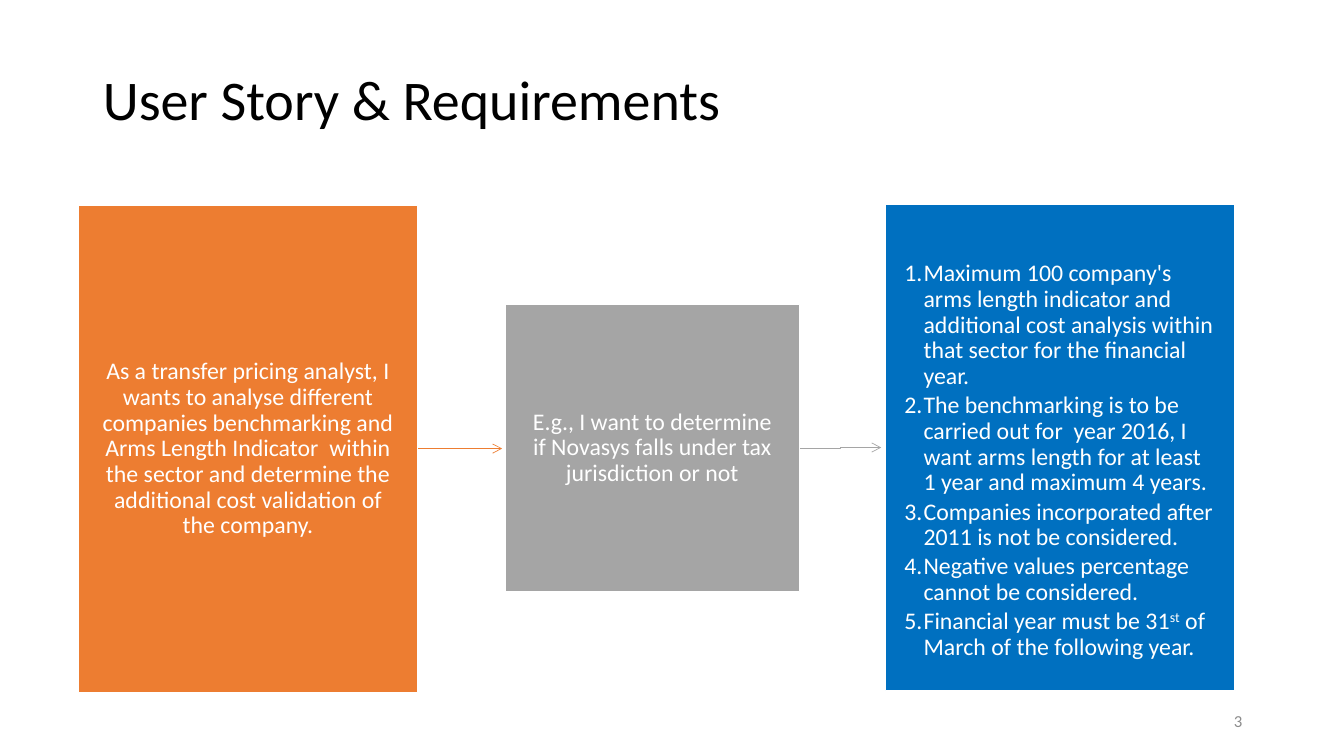
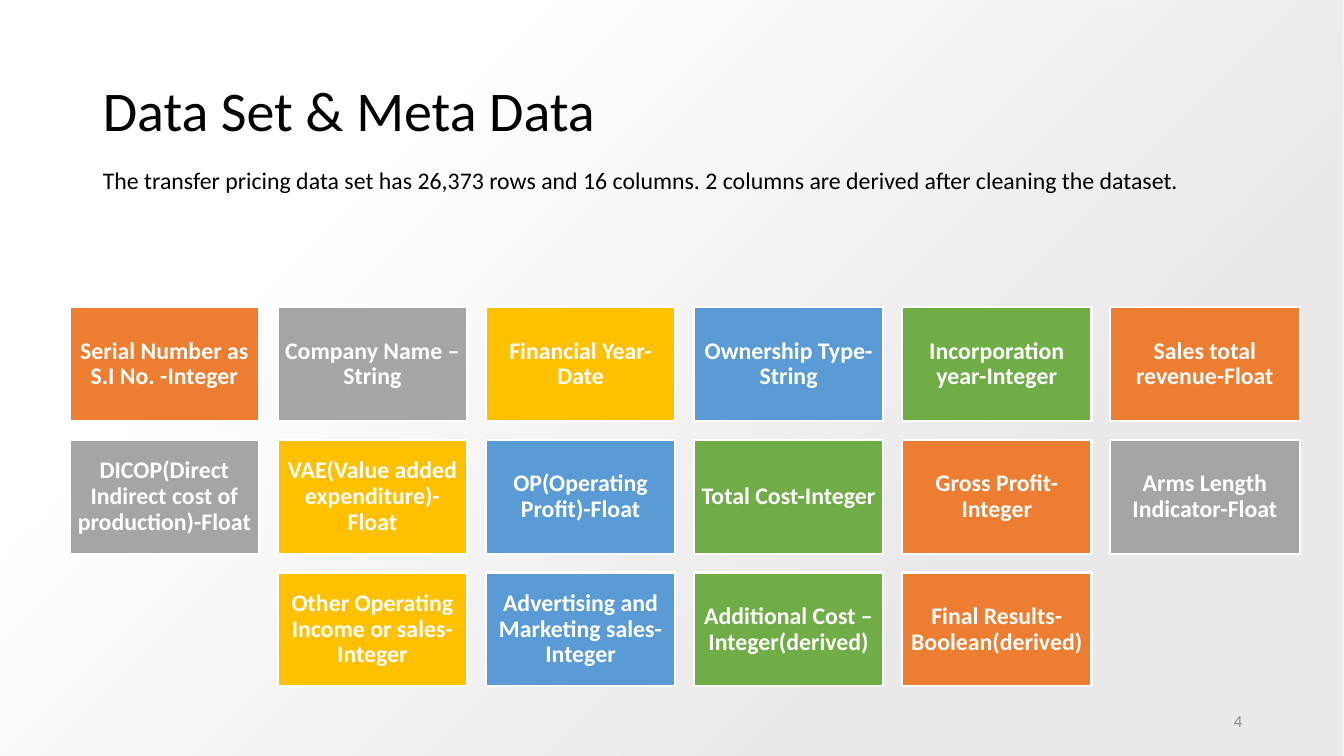
from dataclasses import dataclass
from typing import NamedTuple

from lxml.etree import SubElement
from pptx import Presentation
from pptx.dml.color import RGBColor
from pptx.enum.shapes import MSO_CONNECTOR, MSO_SHAPE
from pptx.enum.text import MSO_ANCHOR, MSO_AUTO_SIZE, PP_ALIGN
from pptx.oxml import parse_xml
from pptx.oxml.ns import nsdecls, qn
from pptx.util import Inches, Pt


@dataclass(frozen=True)
class Theme:
    font: str = "Calibri"
    black: str = "000000"
    white: str = "FFFFFF"
    muted: str = "8C8C8C"
    shade: str = "E7E6E6"
    orange: str = "ED7D31"
    gray: str = "A5A5A5"
    yellow: str = "FFC000"
    blue: str = "5B9BD5"
    green: str = "70AD47"
    deep_blue: str = "0070C0"
    title_size: float = 40
    body_size: float = 17
    number_size: float = 12


class Box(NamedTuple):
    left: float
    top: float
    width: float
    height: float


class Panel(NamedTuple):
    box: Box
    color: str
    text: str


class Arrow(NamedTuple):
    kind: MSO_CONNECTOR
    start: tuple[float, float]
    end: tuple[float, float]
    color: str


THEME = Theme()
LINE_SPACING = 0.9

STORY_TITLE = Box(0.92, 0.59, 7.08, 0.77)
DATA_TITLE = Box(0.92, 0.4, 11.5, 1.45)
SUMMARY_BOX = Box(0.92, 1.59, 11.65, 0.67)
NUMBER_BOX = Box(9.42, 6.95, 3, 0.4)
REQUIREMENTS_BOX = Box(8.78, 2.03, 3.47, 4.82)
LIST_INDENT = 0.19

PANELS = (
    Panel(
        Box(0.78, 2.04, 3.36, 4.83),
        THEME.orange,
        "As a transfer pricing analyst, I wants to analyse different companies "
        "benchmarking and Arms Length Indicator  within the sector and determine "
        "the additional cost validation of the company.",
    ),
    Panel(
        Box(5.01, 3.02, 2.92, 2.85),
        THEME.gray,
        "E.g., I want to determine if Novasys falls under tax jurisdiction or not",
    ),
)
ARROWS = (
    Arrow(MSO_CONNECTOR.STRAIGHT, (4.13, 4.45), (4.98, 4.45), THEME.orange),
    Arrow(MSO_CONNECTOR.ELBOW, (7.93, 4.45), (8.74, 4.44), THEME.gray),
)
REQUIREMENTS = (
    "Maximum 100 company's arms length indicator and additional cost analysis "
    "within that sector for the financial year.",
    "The benchmarking is to be carried out for  year 2016, I want arms length "
    "for at least 1 year and maximum 4 years.",
    "Companies incorporated after 2011 is not be considered.",
    "Negative values percentage cannot be considered.",
    "Financial year must be 31^st^ of March of the following year.",
)

SUMMARY = (
    "The transfer pricing data set has 26,373 rows and 16 columns. "
    "2 columns are derived after cleaning the dataset."
)
COLUMNS = (
    "Serial Number as S.I No. -Integer",
    "Company Name –String",
    "Financial Year-Date",
    "Ownership Type-String",
    "Incorporation year-Integer",
    "Sales total revenue-Float",
    "DICOP(Direct Indirect cost of production)-Float",
    "VAE(Value added expenditure)-Float",
    "OP(Operating Profit)-Float",
    "Total Cost-Integer",
    "Gross Profit-Integer",
    "Arms Length Indicator-Float",
    "Other Operating Income or sales-Integer",
    "Advertising and Marketing sales-Integer",
    "Additional Cost –Integer(derived)",
    "Final Results-Boolean(derived)",
)
TILE_COLORS = (THEME.orange, THEME.gray, THEME.yellow, THEME.blue, THEME.green)
FIRST_TILE = Box(0.69, 3.05, 1.88, 1.13)
TILES_PER_ROW = 6
COLUMN_PITCH = (11.01 - FIRST_TILE.left) / 5
ROW_PITCH = (5.68 - FIRST_TILE.top) / 2


def rgb(color: str) -> RGBColor:
    return RGBColor.from_string(color)


def place(sp, box: Box) -> None:
    sp.left, sp.top, sp.width, sp.height = map(Inches, box)


def paint(sp, color: str, line_width: float) -> None:
    sp.fill.solid()
    sp.fill.fore_color.rgb = rgb(color)
    sp.line.color.rgb = rgb(THEME.white)
    sp.line.width = Pt(line_width)


def set_insets(tf, side: float, top: float, bottom: float) -> None:
    tf.margin_left = tf.margin_right = Inches(side)
    tf.margin_top, tf.margin_bottom = Inches(top), Inches(bottom)


def format_text(tf, size: float, color: str, align: PP_ALIGN = PP_ALIGN.LEFT,
                anchor: MSO_ANCHOR = MSO_ANCHOR.TOP, bold: bool = False,
                spacing: float = 1.0, after: float = 0) -> None:
    tf.word_wrap = True
    tf.auto_size = MSO_AUTO_SIZE.NONE
    tf.vertical_anchor = anchor
    for p in tf.paragraphs:
        p.alignment = align
        p.line_spacing = spacing
        p.space_before, p.space_after = Pt(0), Pt(after)
        for r in p.runs:
            r.font.name, r.font.size, r.font.bold = THEME.font, Pt(size), bold
            r.font.color.rgb = rgb(color)


def set_bullet(p, tag: str, indent: float = 0, **attrs: str) -> None:
    pPr = p._p.get_or_add_pPr()
    pPr.set("marL", str(Inches(indent)))
    pPr.set("indent", str(-Inches(indent)))
    SubElement(pPr, qn(tag), **attrs)


def add_slide(prs, title: str, title_box: Box, spacing: float):
    s = prs.slides.add_slide(prs.slide_layouts[1])
    place(s.shapes.title, title_box)
    tf = s.shapes.title.text_frame
    tf.text = title
    format_text(tf, THEME.title_size, THEME.black,
                anchor=MSO_ANCHOR.MIDDLE, spacing=spacing)
    add_slide_number(s, len(prs.slides))
    return s


def add_slide_number(s, offset: int) -> None:
    tf = s.shapes.add_textbox(*map(Inches, NUMBER_BOX)).text_frame
    number = offset + 2
    tf.text = str(number)
    format_text(tf, THEME.number_size, THEME.muted,
                PP_ALIGN.RIGHT, MSO_ANCHOR.MIDDLE)


def add_block(s, panel: Panel, line_width: float, inset: float, bold: bool) -> None:
    sp = s.shapes.add_shape(MSO_SHAPE.RECTANGLE, *map(Inches, panel.box))
    sp.shadow.inherit = False
    paint(sp, panel.color, line_width)
    tf = sp.text_frame
    tf.text = panel.text
    set_insets(tf, inset, inset, inset)
    format_text(tf, THEME.body_size, THEME.white, PP_ALIGN.CENTER,
                MSO_ANCHOR.MIDDLE, bold, LINE_SPACING)


def add_arrow(s, arrow: Arrow) -> None:
    cx = s.shapes.add_connector(arrow.kind, *map(Inches, arrow.start + arrow.end))
    cx.line.color.rgb = rgb(arrow.color)
    cx.line.width = Pt(0.5)
    SubElement(cx.line._get_or_add_ln(), qn("a:tailEnd"), type="arrow")
    SubElement(cx._element.spPr, qn("a:effectLst"))


def add_requirements(s) -> None:
    sp = s.placeholders[1]
    place(sp, REQUIREMENTS_BOX)
    paint(sp, THEME.deep_blue, 1)
    tf = sp.text_frame
    tf.text = "\n".join(REQUIREMENTS)
    for p, item in zip(tf.paragraphs, REQUIREMENTS):
        p.text = ""
        for i, part in enumerate(item.split("^")):
            r = p.add_run()
            r.text = part
            if i % 2:
                r._r.get_or_add_rPr().set("baseline", "30000")
        set_bullet(p, "a:buAutoNum", LIST_INDENT, type="arabicPeriod")
    set_insets(tf, 0.19, 0.56, 0.2)
    format_text(tf, THEME.body_size, THEME.white, spacing=LINE_SPACING, after=2.5)


def add_summary(s) -> None:
    sp = s.placeholders[1]
    place(sp, SUMMARY_BOX)
    tf = sp.text_frame
    tf.text = SUMMARY
    set_bullet(tf.paragraphs[0], "a:buNone")
    format_text(tf, THEME.body_size, THEME.black)


def add_backdrop(s, prs) -> None:
    sp = s.shapes.add_shape(MSO_SHAPE.RECTANGLE, 0, 0,
                            prs.slide_width, prs.slide_height)
    sp.shadow.inherit = False
    sp.line.fill.background()
    gradient = parse_xml(
        f'<a:gradFill {nsdecls("a")} rotWithShape="1"><a:gsLst>'
        f'<a:gs pos="28000"><a:srgbClr val="{THEME.shade}">'
        '<a:alpha val="84000"/></a:srgbClr></a:gs>'
        f'<a:gs pos="74000"><a:srgbClr val="{THEME.white}"/></a:gs></a:gsLst>'
        '<a:path path="circle"><a:fillToRect l="100000" t="100000"/></a:path>'
        '</a:gradFill>'
    )
    sp._element.spPr.find(qn("a:prstGeom")).addnext(gradient)
    s.shapes._spTree.insert(2, sp._element)


def add_tiles(s) -> None:
    for i, text in enumerate(COLUMNS):
        row, col = divmod(i, TILES_PER_ROW)
        in_row = min(TILES_PER_ROW, len(COLUMNS) - row * TILES_PER_ROW)
        col += (TILES_PER_ROW - in_row) / 2
        box = FIRST_TILE._replace(left=FIRST_TILE.left + col * COLUMN_PITCH,
                                  top=FIRST_TILE.top + row * ROW_PITCH)
        color = TILE_COLORS[i % len(TILE_COLORS)]
        add_block(s, Panel(box, color, text), 1.5, 0.07, True)


def build_story(prs) -> None:
    s = add_slide(prs, "User Story & Requirements", STORY_TITLE, 1.0)
    for arrow in ARROWS:
        add_arrow(s, arrow)
    for panel in PANELS:
        add_block(s, panel, 1, 0.19, False)
    add_requirements(s)


def build_data_set(prs) -> None:
    s = add_slide(prs, "Data Set & Meta Data", DATA_TITLE, LINE_SPACING)
    add_backdrop(s, prs)
    add_summary(s)
    add_tiles(s)


def main() -> None:
    prs = Presentation()
    prs.slide_width, prs.slide_height = Inches(13.33), Inches(7.5)
    build_story(prs)
    build_data_set(prs)
    prs.save("out.pptx")


if __name__ == "__main__":
    main()
